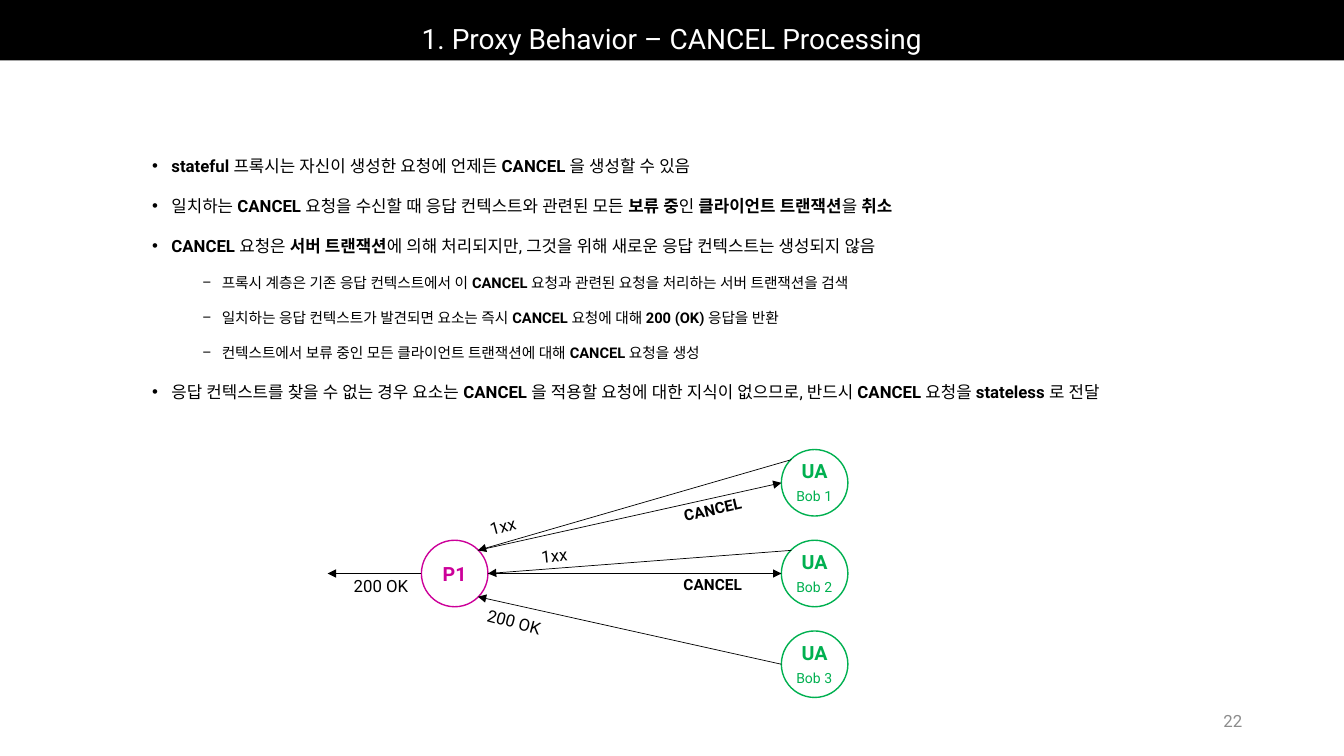
from lxml import etree
from pptx import Presentation
from pptx import util as u
from pptx.dml.color import RGBColor
from pptx.enum import shapes, text
from pptx.oxml import ns

PX = 9144  # EMU, so 100 px make one inch
FONT = "Roboto"
BLACK = RGBColor(0x00, 0x00, 0x00)
WHITE = RGBColor(0xFF, 0xFF, 0xFF)
GRAY = RGBColor(0x8C, 0x8C, 0x8C)
MAGENTA = RGBColor(0xCC, 0x00, 0x99)
GREEN = RGBColor(0x00, 0xB0, 0x50)

RADIUS = 33
DIAGONAL = 23  # offset of a point on the circle at 45 degrees
PROXY_X, PROXY_Y = 451, 569
AGENT_X = 808
AGENT_YS = [PROXY_Y + 90 * step for step in (-1, 0, 1)]

# (level, text); ** switches bold on and off
BULLETS = [
    (0, "**stateful **프록시는 자신이 생성한 요청에 언제든 **CANCEL **을 생성할 수 있음"),
    (0, "일치하는 **CANCEL **요청을 수신할 때 응답 컨텍스트와 관련된 모든 **보류 중**인 "
        "**클라이언트 트랜잭션**을 **취소**"),
    (0, "**CANCEL **요청은 **서버 트랜잭션**에 의해 처리되지만, "
        "그것을 위해 새로운 응답 컨텍스트는 생성되지 않음"),
    (1, "프록시 계층은 기존 응답 컨텍스트에서 이 **CANCEL **요청과 관련된 요청을 처리하는 "
        "서버 트랜잭션을 검색"),
    (1, "일치하는 응답 컨텍스트가 발견되면 요소는 즉시 **CANCEL **요청에 대해 "
        "**200 (OK) **응답을 반환"),
    (1, "컨텍스트에서 보류 중인 모든 클라이언트 트랜잭션에 대해 **CANCEL **요청을 생성"),
    (0, "응답 컨텍스트를 찾을 수 없는 경우 요소는 **CANCEL** 을 적용할 요청에 대한 지식이 "
        "없으므로, 반드시 **CANCEL **요청을 **stateless **로 전달"),
]
BULLET_STYLES = [("•", 19, 12), ("−", 69, 10.5)]  # mark, indent, size

# (text, left, top, width, height, rotation, size, bold)
MESSAGES = [
    ("1xx", 476, 507, 46, 30, -15, 12, False),
    ("1xx", 527, 536, 46, 30, -5.4, 12, False),
    ("200 OK", 473, 602, 75, 30, 15, 12, False),
    ("CANCEL", 668, 491, 78, 29, -13.1, 11, True),
    ("CANCEL", 668, 566, 78, 29, 0, 11, True),
    ("200 OK", 341, 566, 75, 30, 0, 12, False),
]


def place(shape, left, top, width, height):
    shape.left, shape.top = left * PX, top * PX
    shape.width, shape.height = width * PX, height * PX


def style(span, size, color, bold=False):
    span.font.size = u.Pt(size)
    span.font.bold = bold
    span.font.color.rgb = color
    span.font.name = FONT
    etree.SubElement(span.font._element, ns.qn("a:ea"), typeface=FONT)


def add_title(slide, wording):
    title = slide.shapes.title
    place(title, 0, 0, 1333, 60)
    title.fill.solid()
    title.fill.fore_color.rgb = BLACK
    frame = title.text_frame
    frame.text = wording
    frame.auto_size = text.MSO_AUTO_SIZE.NONE
    frame.vertical_anchor = text.MSO_ANCHOR.BOTTOM
    para = frame.paragraphs[0]
    para.alignment = text.PP_ALIGN.CENTER
    para.line_spacing = 0.9
    style(para.runs[0], 20, WHITE)


def set_bullet(para, mark, indent):
    props = para._p.get_or_add_pPr()
    props.set("marL", str(indent * PX))
    props.set("indent", str(-19 * PX))
    etree.SubElement(props, ns.qn("a:buFont"), typeface="Arial")
    etree.SubElement(props, ns.qn("a:buChar"), char=mark)


def add_bullets(slide):
    body = slide.placeholders[1]
    place(body, 141, 129, 1033, 273)
    frame = body.text_frame
    frame.auto_size = text.MSO_AUTO_SIZE.NONE
    frame.word_wrap = True
    for index, (level, wording) in enumerate(BULLETS):
        para = frame.add_paragraph() if index else frame.paragraphs[0]
        mark, indent, size = BULLET_STYLES[level]
        para.level = level
        set_bullet(para, mark, indent)
        para.line_spacing = 2.0
        para.space_before = u.Pt(0)
        for part, piece in enumerate(wording.split("**")):
            if piece:
                span = para.add_run()
                span.text = piece
                style(span, size, BLACK, bold=part % 2 == 1)


def add_label(slide, wording, left, top, width, height, rotation=0, size=12,
              bold=False, color=BLACK, align=text.PP_ALIGN.LEFT,
              anchor=text.MSO_ANCHOR.TOP, wrap=False):
    box = slide.shapes.add_textbox(0, 0, 0, 0)
    place(box, left, top, width, height)
    box.rotation = rotation
    frame = box.text_frame
    frame.word_wrap = wrap
    frame.vertical_anchor = anchor
    frame.text = wording
    para = frame.paragraphs[0]
    para.alignment = align
    style(para.runs[0], size, color, bold)


def add_node(slide, name, x, y, color, anchor):
    """Draw a circle centred on x, y with its name inside."""
    node = slide.shapes.add_shape(shapes.MSO_SHAPE.OVAL, 0, 0, 0, 0)
    place(node, x - RADIUS, y - RADIUS, 2 * RADIUS, 2 * RADIUS)
    node.shadow.inherit = False
    node.fill.solid()
    node.fill.fore_color.rgb = WHITE
    node.line.color.rgb = color
    node.line.width = u.Pt(1)
    frame = node.text_frame
    frame.margin_left = frame.margin_right = 0
    frame.margin_top = frame.margin_bottom = 0
    frame.vertical_anchor = anchor
    frame.text = name
    para = frame.paragraphs[0]
    para.alignment = text.PP_ALIGN.CENTER
    style(para.runs[0], 14, color, bold=True)


def add_arrow(slide, start, end):
    arrow = slide.shapes.add_connector(
        shapes.MSO_CONNECTOR.STRAIGHT, *(value * PX for value in start + end))
    arrow.line.color.rgb = BLACK
    arrow.line.width = u.Pt(0.5)
    etree.SubElement(arrow.line._get_or_add_ln(), ns.qn("a:tailEnd"), type="triangle")
    etree.SubElement(arrow._element.spPr, ns.qn("a:effectLst"))


def add_call_flow(slide):
    add_node(slide, "P1", PROXY_X, PROXY_Y, MAGENTA, text.MSO_ANCHOR.MIDDLE)
    for number, y in enumerate(AGENT_YS, 1):
        add_node(slide, "UA", AGENT_X, y, GREEN, text.MSO_ANCHOR.TOP)
        add_label(slide, f"Bob {number}", AGENT_X - 28, y, 56, 27, size=10, color=GREEN)

    proxy_left = (PROXY_X - RADIUS, PROXY_Y)
    proxy_right = (PROXY_X + RADIUS, PROXY_Y)
    proxy_upper = (PROXY_X + DIAGONAL, PROXY_Y - DIAGONAL)
    proxy_lower = (PROXY_X + DIAGONAL, PROXY_Y + DIAGONAL)
    agent_left = [(AGENT_X - RADIUS, y) for y in AGENT_YS]
    agent_upper = [(AGENT_X - DIAGONAL, y - DIAGONAL) for y in AGENT_YS]
    for start, end in [
        (agent_upper[0], proxy_upper),
        (agent_upper[1], proxy_right),
        (agent_left[2], proxy_lower),
        (proxy_upper, agent_left[0]),
        (proxy_right, agent_left[1]),
        (proxy_left, (325, PROXY_Y)),
    ]:
        add_arrow(slide, start, end)
    for message in MESSAGES:
        add_label(slide, *message)


def main():
    deck = Presentation()
    deck.slide_width, deck.slide_height = 1333 * PX, 750 * PX
    slide = deck.slides.add_slide(deck.slide_layouts[1])
    add_title(slide, "1. Proxy Behavior – CANCEL Processing")
    add_label(slide, "22", 942, 695, 300, 40, color=GRAY, align=text.PP_ALIGN.RIGHT,
              anchor=text.MSO_ANCHOR.MIDDLE, wrap=True)
    add_bullets(slide)
    add_call_flow(slide)
    deck.save("out.pptx")


if __name__ == "__main__":
    main()
